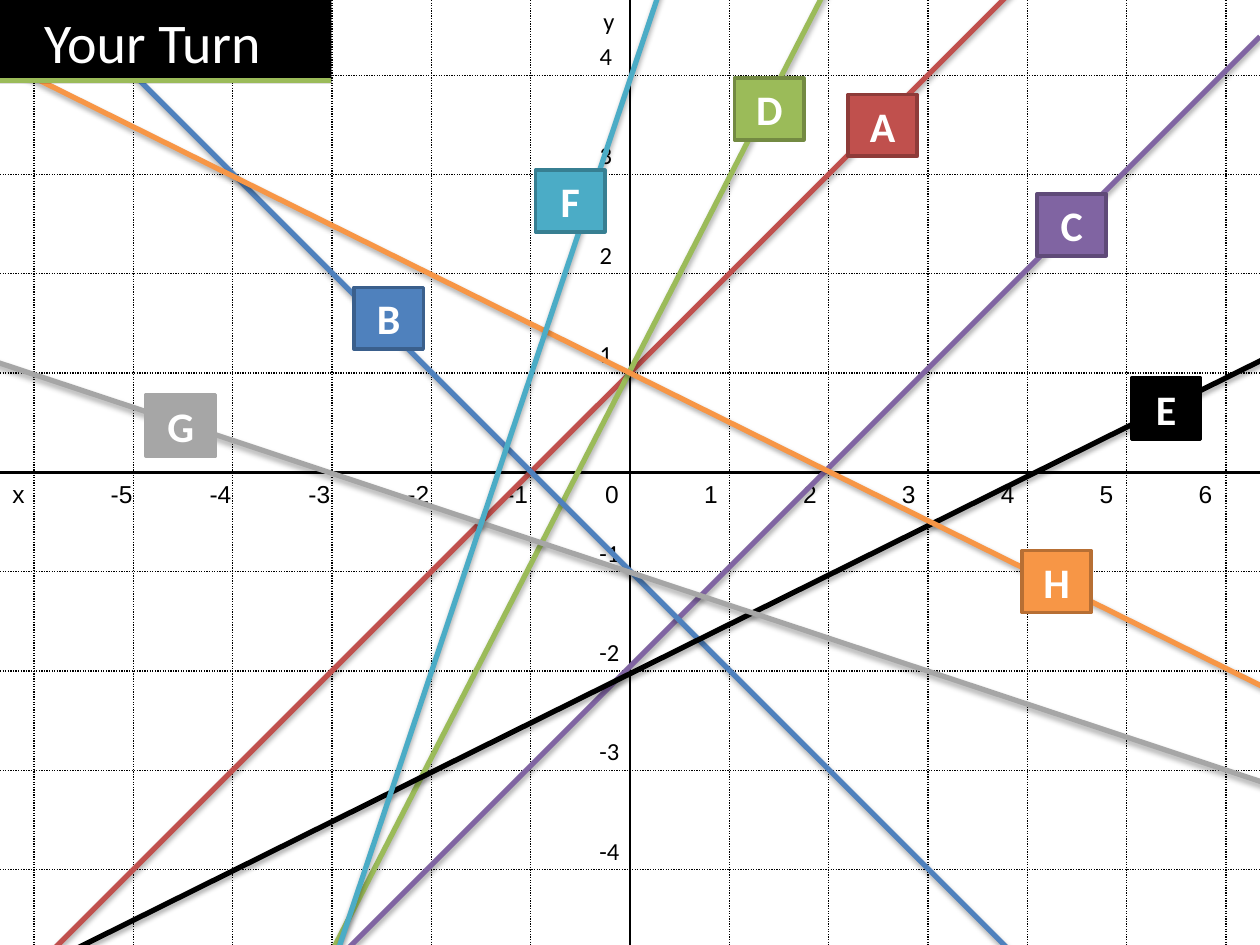
from dataclasses import dataclass
from typing import NamedTuple

from lxml import etree
from pptx import Presentation
from pptx.dml.color import RGBColor
from pptx.enum.dml import MSO_LINE
from pptx.enum.shapes import MSO_CONNECTOR, MSO_SHAPE
from pptx.enum.text import MSO_ANCHOR, MSO_AUTO_SIZE, PP_ALIGN
from pptx.oxml.ns import qn
from pptx.util import Inches, Pt

STRAIGHT = MSO_CONNECTOR.STRAIGHT
RECT = MSO_SHAPE.RECTANGLE
DOTS = MSO_LINE.ROUND_DOT
MIDDLE = MSO_ANCHOR.MIDDLE
LEFT, CENTER = PP_ALIGN.LEFT, PP_ALIGN.CENTER
NO_FIT = MSO_AUTO_SIZE.NONE


@dataclass(frozen=True)
class Theme:
    black: str = "000000"
    white: str = "FFFFFF"
    green: str = "9BBB59"
    body: str = "Calibri"
    axis: str = "Arial"
    title_pt: int = 32
    tag_pt: int = 24
    tick_pt: int = 14
    grid_pt: float = 0.75
    axis_pt: float = 1.5
    graph_pt: float = 3
    edge_pt: float = 2


class Point(NamedTuple):
    x: float
    y: float


class Graph(NamedTuple):
    name: str
    color: str
    edge: str
    start: Point
    end: Point
    tag: Point


THEME = Theme()
WIDTH, HEIGHT = 10, 7.5
MID = Point(WIDTH / 2, HEIGHT / 2)
UNIT = 4.73 / 6
TAG_W, TAG_H = 0.55, 0.49
TITLE_W, TITLE_H = 2.63, 0.66
TAB_START, TAB_STEP = 0.78, 0.785

GRAPHS = [
    Graph("A", "C0504D", "8E3B39", Point(0.35, 7.61), Point(8.23, -0.27), Point(6.73, 0.75)),
    Graph("C", "8064A2", "5F4A78", Point(2.13, 8.16), Point(10, 0.29), Point(8.23, 1.54)),
    Graph("D", THEME.green, "738A42", Point(2.24, 8.32), Point(7.05, -1.05), Point(5.83, 0.62)),
    Graph("B", "4F81BD", "3A5F8C", Point(0.28, -0.19), Point(8.39, 7.92), Point(2.81, 2.28)),
    Graph("E", THEME.black, THEME.black, Point(0.28, 7.69), Point(11.38, 2.18), Point(8.98, 3)),
    Graph("H", "F79646", "B76F34", Point(-0.49, 0.24), Point(10.81, 5.84), Point(8.11, 4.37)),
    Graph("G", "A6A6A6", "A6A6A6", Point(-0.46, 2.73), Point(10.87, 6.49), Point(1.16, 3.13)),
    Graph("F", "4BACC6", "377F92", Point(2.63, 7.7), Point(5.43, -0.65), Point(4.25, 1.35)),
]


def rgb(color: str) -> RGBColor:
    return RGBColor.from_string(color)


def style(part, size: float, color: str, face: str = THEME.body, bold: bool = False) -> None:
    for run in part.runs:
        run.font.name = face
        run.font.size = Pt(size)
        run.font.bold = bold
        run.font.color.rgb = rgb(color)


def add_line(slide, start: Point, end: Point, width: float, color: str = THEME.black,
             dotted: bool = False, shaded: bool = False) -> None:
    line = slide.shapes.add_connector(STRAIGHT, *(Inches(v) for v in (*start, *end)))
    line.line.color.rgb = rgb(color)
    line.line.width = Pt(width)
    if dotted:
        line.line.dash_style = DOTS
    effects = etree.SubElement(line._element.spPr, qn("a:effectLst"))
    if shaded:
        shade = etree.SubElement(effects, qn("a:outerShdw"), blurRad=str(Pt(3.1)),
                                 dist=str(Pt(1.8)), dir="5400000", rotWithShape="0")
        tint = etree.SubElement(shade, qn("a:srgbClr"), val=THEME.black)
        etree.SubElement(tint, qn("a:alpha"), val="35000")


def add_text(slide, text: str, at: Point, width: float, face: str = THEME.body,
             wrap: bool = False, tabs: int = 0) -> None:
    box = slide.shapes.add_textbox(Inches(at.x), Inches(at.y), Inches(width), Inches(0.33))
    box.text_frame.word_wrap = wrap
    part = box.text_frame.paragraphs[0]
    if tabs:
        stops = etree.SubElement(part._p.get_or_add_pPr(), qn("a:tabLst"))
        for i in range(tabs):
            etree.SubElement(stops, qn("a:tab"), algn="l",
                             pos=str(Inches(TAB_START + i * TAB_STEP)))
    part.text = text
    style(part, THEME.tick_pt, THEME.black, face)


def add_grid(slide) -> None:
    for i in range(-6, 7):
        if i:
            x = MID.x + i * UNIT
            add_line(slide, Point(x, 0), Point(x, HEIGHT), THEME.grid_pt, dotted=True)
    for i in range(-4, 5):
        if i:
            y = MID.y - i * UNIT
            add_line(slide, Point(0, y), Point(WIDTH, y), THEME.grid_pt, dotted=True)


def add_axes(slide) -> None:
    add_line(slide, Point(MID.x, 0), Point(MID.x, HEIGHT), THEME.axis_pt)
    add_line(slide, Point(0, MID.y), Point(WIDTH, MID.y), THEME.axis_pt)
    ticks = [str(i) for i in range(-5, 7)]
    add_text(slide, "\t".join(["x", *ticks]), Point(0, MID.y), WIDTH, THEME.axis,
             wrap=True, tabs=len(ticks))


def add_ticks(slide) -> None:
    """Label the y axis."""
    add_text(slide, "y", Point(4.69, 0), 0.31)
    for i in range(-4, 5):
        if i:
            add_text(slide, str(i), Point(4.66, MID.y - i * UNIT - 0.32),
                     0.31 if i > 0 else 0.37)


def add_graph(slide, graph: Graph) -> None:
    add_line(slide, graph.start, graph.end, THEME.graph_pt, graph.color, shaded=True)


def add_tag(slide, graph: Graph) -> None:
    tag = slide.shapes.add_shape(RECT, Inches(graph.tag.x), Inches(graph.tag.y),
                                 Inches(TAG_W), Inches(TAG_H))
    tag.shadow.inherit = False
    tag.fill.solid()
    tag.fill.fore_color.rgb = rgb(graph.color)
    tag.line.color.rgb = rgb(graph.edge)
    tag.line.width = Pt(THEME.edge_pt)
    frame = tag.text_frame
    frame.vertical_anchor = MIDDLE
    frame.text = graph.name
    frame.paragraphs[0].alignment = CENTER
    style(frame.paragraphs[0], THEME.tag_pt, THEME.white, bold=True)


def add_title(slide, text: str) -> None:
    """Fill the title placeholder and bring it in front of the graphs."""
    title = slide.shapes.title
    title.left, title.top = Inches(0), Inches(0)
    title.width, title.height = Inches(TITLE_W), Inches(TITLE_H)
    title.fill.solid()
    title.fill.fore_color.rgb = rgb(THEME.black)
    frame = title.text_frame
    frame.text = text
    frame.auto_size = NO_FIT
    frame.vertical_anchor = MIDDLE
    frame.margin_left, frame.margin_right = Inches(0.35), Inches(0.1)
    frame.margin_top = frame.margin_bottom = Inches(0.05)
    frame.paragraphs[0].alignment = LEFT
    style(frame.paragraphs[0], THEME.title_pt, THEME.white)
    slide.shapes._spTree.append(title._element)
    add_line(slide, Point(0, 0.64), Point(TITLE_W, 0.64), THEME.graph_pt, THEME.green)


def main() -> None:
    deck = Presentation()
    deck.slide_width, deck.slide_height = Inches(WIDTH), Inches(HEIGHT)
    slide = deck.slides.add_slide(deck.slide_layouts[5])
    add_axes(slide)
    add_grid(slide)
    first, *others = GRAPHS
    add_graph(slide, first)
    add_ticks(slide)
    for graph in others:
        add_graph(slide, graph)
    for graph in sorted(GRAPHS):
        add_tag(slide, graph)
    add_title(slide, "Your Turn")
    deck.save("out.pptx")


if __name__ == "__main__":
    main()
